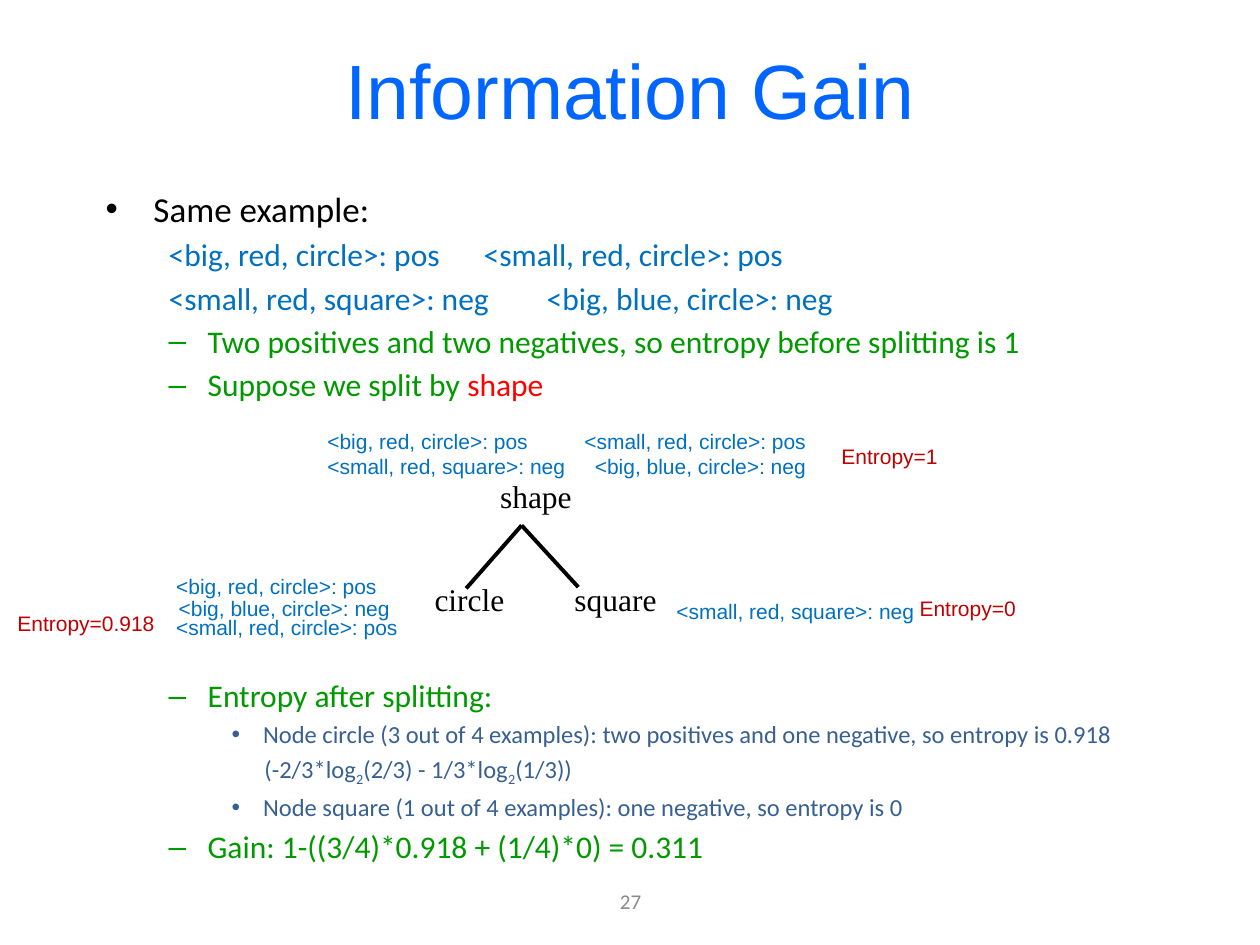
from lxml.etree import SubElement
from pptx import Presentation
from pptx.dml.color import RGBColor
from pptx.enum.text import MSO_ANCHOR, PP_ALIGN
from pptx.oxml.ns import qn
from pptx.util import Emu, Inches, Pt

BLACK = RGBColor(0x00, 0x00, 0x00)
TITLE_BLUE = RGBColor(0x00, 0x66, 0xFF)
BLUE = RGBColor(0x00, 0x70, 0xC0)
GREEN = RGBColor(0x00, 0x99, 0x00)
RED = RGBColor(0xFF, 0x00, 0x00)
DARK_RED = RGBColor(0xC0, 0x00, 0x00)
NAVY = RGBColor(0x37, 0x60, 0x92)
GRAY = RGBColor(0x89, 0x89, 0x89)

# Paragraph levels: margin, first-line indent, bullet, size, space before, colour
LEVELS = {
    "top": (0.38, -0.38, "•", 20, 0, BLACK),
    "example": (0, 0, None, 18, 3.2, BLUE),
    "dash": (0.81, -0.31, "–", 18, 3.2, GREEN),
    "dot": (1.25, -0.25, "•", 14, 2.9, NAVY),
    "formula": (1.26, 0, None, 14, 2.9, NAVY),
}
EXAMPLES = [
    ("<big, red, circle>: pos", "<small, red, circle>: pos"),
    ("<small, red, square>: neg", "<big, blue, circle>: neg"),
]
SUB = "sub"

# Body blocks: top edge, height, paragraphs of (level, runs of (text, style))
BODY = [
    (1.44, 1.9, [("top", [("Same example:", None)])]
     + [("example", [(f"\t{a}\t{b}", None)]) for a, b in EXAMPLES]
     + [("dash", [("Two positives and two negatives, so entropy before splitting is 1", None)]),
        ("dash", [("Suppose we split by ", None), ("shape", RED)])]),
    (5.32, 1.6, [
        ("dash", [("Entropy after splitting:", None)]),
        ("dot", [("Node circle (3 out of 4 examples): two positives and one negative, "
                  "so entropy is 0.918", None)]),
        ("formula", [("(-2/3*log", None), ("2", SUB), ("(2/3) - 1/3*log", None),
                     ("2", SUB), ("(1/3))", None)]),
        ("dot", [("Node square (1 out of 4 examples): one negative, so entropy is 0", None)]),
        ("dash", [("Gain: 1-((3/4)*0.918 + (1/4)*0) = 0.311", None)]),
    ]),
]

# Tree: node labels, branch ends, and the examples and entropies beside the nodes
NODES = [("shape", 3.87, 3.74), ("circle", 3.35, 4.55), ("square", 4.46, 4.55)]
APEX = (4.14, 4.17)
BRANCH_ENDS = [(3.7, 4.67), (4.59, 4.66)]
LEAF_EXAMPLES = [
    ("<small, red, circle>: pos", 1.3, 4.83),
    ("<small, red, square>: neg", 5.27, 4.7),
    ("<big, red, circle>: pos", 1.3, 4.5),
    ("<big, blue, circle>: neg", 1.32, 4.68),
]
ENTROPIES = [("Entropy=1", 6.58, 3.47), ("Entropy=0", 7.2, 4.68), ("Entropy=0.918", 0.04, 4.8)]


def add_box(shapes, x, y, w, h, anchor=MSO_ANCHOR.TOP):
    tf = shapes.add_textbox(Inches(x), Inches(y), Inches(w), Inches(h)).text_frame
    tf.word_wrap = True
    tf.vertical_anchor = anchor
    return tf


def add_run(p, text, size, font, color):
    r = p.add_run()
    r.text = text
    r.font.size = Pt(size)
    r.font.name = font
    r.font.color.rgb = color
    return r


def add_label(shapes, text, x, y, w, h, size, font, color,
              align=PP_ALIGN.LEFT, anchor=MSO_ANCHOR.TOP):
    p = add_box(shapes, x, y, w, h, anchor).paragraphs[0]
    p.alignment = align
    add_run(p, text, size, font, color)


def next_paragraph(tf, i):
    return tf.add_paragraph() if i else tf.paragraphs[0]


def set_tabs(p, stops):
    tabs = SubElement(p._p.get_or_add_pPr(), qn("a:tabLst"))
    for pos, align in stops:
        SubElement(tabs, qn("a:tab"), pos=str(Inches(pos)), algn=align)


def set_level(p, margin, indent, bullet):
    pPr = p._p.get_or_add_pPr()
    pPr.set("marL", str(Inches(margin)))
    pPr.set("indent", str(Inches(indent)))
    if bullet:
        SubElement(pPr, qn("a:buFont"), typeface="Arial")
        SubElement(pPr, qn("a:buChar"), char=bullet)
    else:
        SubElement(pPr, qn("a:buNone"))


prs = Presentation()
prs.slide_width, prs.slide_height = Inches(10), Inches(7.5)
s = prs.slides.add_slide(prs.slide_layouts[6])

# Title and slide number
add_label(s.shapes, "Information Gain", 0.5, 0.08, 9, 1.25, 44, "Arial", TITLE_BLUE,
          PP_ALIGN.CENTER, MSO_ANCHOR.MIDDLE)
add_label(s.shapes, "27", 3.42, 6.95, 3.17, 0.4, 12, "Calibri", GRAY,
          PP_ALIGN.CENTER, MSO_ANCHOR.MIDDLE)

# Body text above and below the tree
for top, height, paragraphs in BODY:
    tf = add_box(s.shapes, 0.74, top, 8.5, height)
    for i, (level, runs) in enumerate(paragraphs):
        margin, indent, bullet, size, before, color = LEVELS[level]
        p = next_paragraph(tf, i)
        if i:
            p.space_before = Pt(before)
        set_level(p, margin, indent, bullet)
        if level == "example":
            set_tabs(p, [(0.79, "l"), (5.87, "r")])
        for text, style in runs:
            r = add_run(p, text, size, "Calibri", RED if style == RED else color)
            if style == SUB:
                r.font._element.set("baseline", "-25000")

# Tree nodes and branches
tree = s.shapes.add_group_shape().shapes
for text, x, y in NODES:
    add_label(tree, text, x, y, 0.95, 0.41, 18, "Times New Roman", BLACK)
for end in BRANCH_ENDS:
    line = tree.add_connector(1, *(Emu(Inches(v)) for v in APEX + end))
    line.line.color.rgb = BLACK
    line.line.width = Pt(2.25)
    SubElement(line._element.spPr, qn("a:effectLst"))

# Examples at the root
tf = add_box(s.shapes, 2.5, 3.35, 4.2, 0.51)
for i, (left, right) in enumerate(EXAMPLES):
    p = next_paragraph(tf, i)
    set_tabs(p, [(3.8, "r")])
    add_run(p, f"{left}\t{right}", 12, "Arial", BLUE)

# Examples at the leaves, and entropies
for labels, color in ((LEAF_EXAMPLES, BLUE), (ENTROPIES, DARK_RED)):
    for text, x, y in labels:
        add_label(s.shapes, text, x, y, 2.2, 0.3, 12, "Arial", color)

prs.save("out.pptx")
